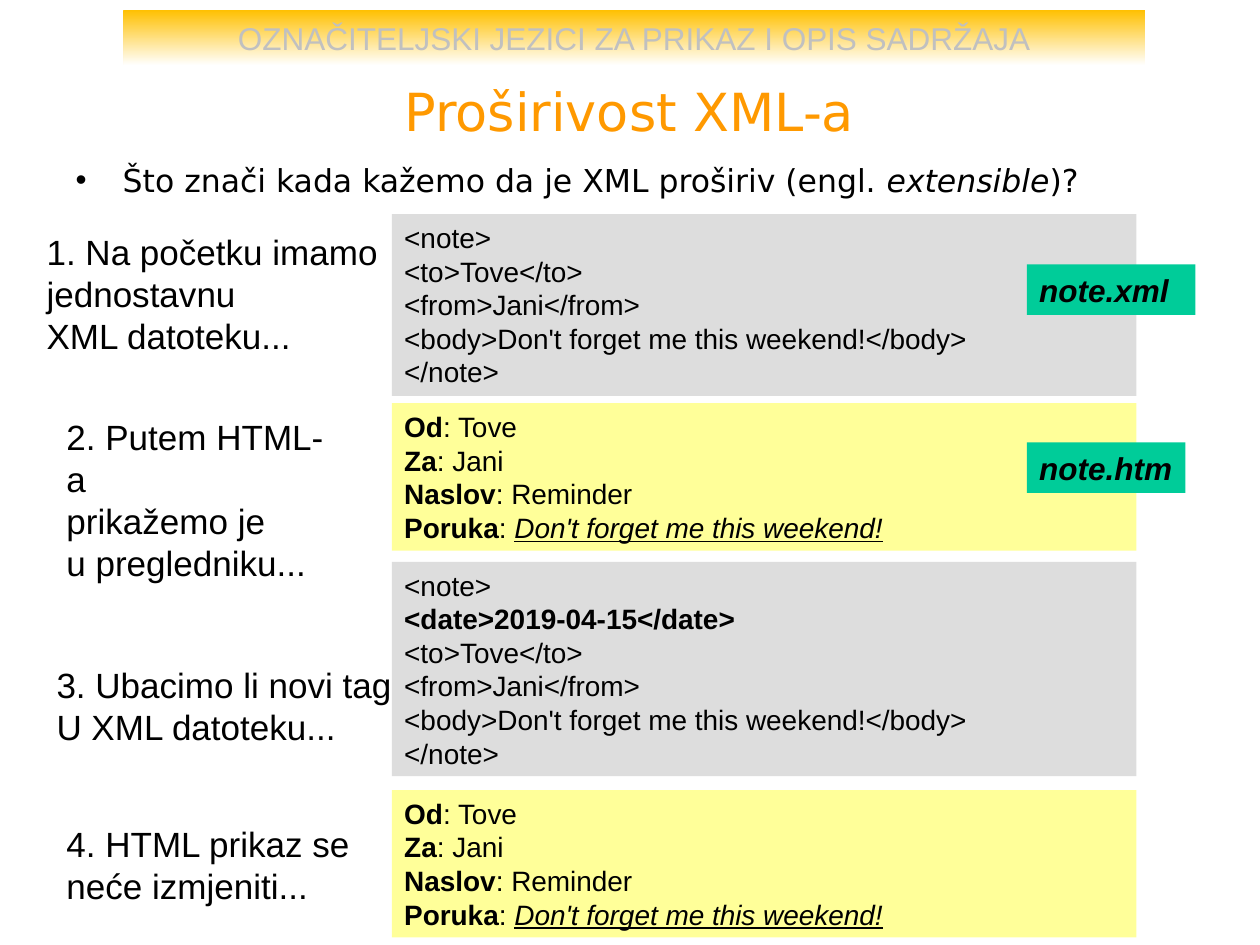
import pptx
import pptx.dml.color
import pptx.enum.shapes
import pptx.enum.text
import pptx.oxml.ns
import pptx.util
from lxml import etree

GREY, YELLOW, GREEN = "DDDDDD", "FFFF99", "00CC99"
PANEL_LEFT, PANEL_WIDTH, TAG_LEFT = 7.9, 15.01, 20.7

MESSAGE = [
    "<to>Tove</to>",
    "<from>Jani</from>",
    "<body>Don't forget me this weekend!</body>",
    "</note>",
]
SIMPLE_NOTE = ["<note>"] + MESSAGE
DATED_NOTE = ["<note>", [("<date>2019-04-15</date>", "b")]] + MESSAGE
HTML_VIEW = [
    [("Od", "b"), (": Tove", "")],
    [("Za", "b"), (": Jani", "")],
    [("Naslov", "b"), (": Reminder", "")],
    [("Poruka", "b"), (": ", ""), ("Don't forget me this weekend!", "iu")],
]


def rgb(value):
    return pptx.dml.color.RGBColor.from_string(value)


class Deck:
    font = "Arial"
    heading_font = "DejaVu Sans"
    ink = "000000"

    def __init__(self):
        self.prs = pptx.Presentation()
        self.prs.slide_width = pptx.util.Cm(25.4)
        self.prs.slide_height = pptx.util.Cm(19.05)
        self.s = self.prs.slides.add_slide(self.prs.slide_layouts[1])

    def place(self, sp, *box):
        sp.left, sp.top, sp.width, sp.height = map(pptx.util.Cm, box)

    def set_text(self, tf, lines, size, color=ink, font=font, align=None):
        tf.word_wrap = True
        tf.auto_size = pptx.enum.text.MSO_AUTO_SIZE.NONE
        for i, line in enumerate(lines):
            p = tf.paragraphs[0] if i == 0 else tf.add_paragraph()
            p.alignment = align
            for text, marks in [(line, "")] if isinstance(line, str) else line:
                r = p.add_run()
                r.text = text
                r.font.name, r.font.size = font, pptx.util.Pt(size)
                r.font.color.rgb = rgb(color)
                r.font.bold = "b" in marks
                r.font.italic = "i" in marks
                r.font.underline = "u" in marks

    def title(self, text, *box):
        sp = self.s.shapes.title
        self.place(sp, *box)
        sp.text_frame.vertical_anchor = pptx.enum.text.MSO_ANCHOR.MIDDLE
        center = pptx.enum.text.PP_ALIGN.CENTER
        self.set_text(sp.text_frame, [text], 30, "FF9900", self.heading_font, center)

    def bullets(self, lines, *box):
        sp = self.s.placeholders[1]
        self.place(sp, *box)
        self.set_text(sp.text_frame, lines, 18, font=self.heading_font)
        for p in sp.text_frame.paragraphs:
            pPr = p._p.get_or_add_pPr()
            pPr.set("marL", str(pptx.util.Cm(0.95)))
            pPr.set("indent", str(pptx.util.Cm(-0.95)))
            bullet = etree.SubElement(pPr, pptx.oxml.ns.qn("a:buChar"))
            bullet.set("char", "•")

    def rectangle(self, *box):
        kind = pptx.enum.shapes.MSO_SHAPE.RECTANGLE
        sp = self.s.shapes.add_shape(kind, *map(pptx.util.Cm, box))
        sp.shadow.inherit = False
        sp.line.fill.background()
        return sp

    def banner(self, text, *box):
        sp = self.rectangle(*box)
        sp.fill.gradient()
        sp.fill.gradient_angle = 270
        for stop, color in zip(sp.fill.gradient_stops, ("FFC000", "FFFFFF")):
            stop.color.rgb = rgb(color)
        center = pptx.enum.text.PP_ALIGN.CENTER
        self.set_text(sp.text_frame, [text], 18, "C0C0C0", align=center)

    def panel(self, lines, fill, size, *box):
        sp = self.rectangle(*box)
        sp.fill.solid()
        sp.fill.fore_color.rgb = rgb(fill)
        sp.text_frame.vertical_anchor = pptx.enum.text.MSO_ANCHOR.TOP
        self.set_text(sp.text_frame, lines, size, align=pptx.enum.text.PP_ALIGN.LEFT)

    def code(self, lines, fill, top, height):
        self.panel(lines, fill, 16, PANEL_LEFT, top, PANEL_WIDTH, height)

    def tag(self, name, top, width):
        self.panel([[(name, "bi")]], GREEN, 18, TAG_LEFT, top, width, 1.02)

    def label(self, lines, *box):
        sp = self.s.shapes.add_textbox(*map(pptx.util.Cm, box))
        self.set_text(sp.text_frame, lines, 20)


def main():
    deck = Deck()
    deck.banner("OZNAČITELJSKI JEZICI ZA PRIKAZ I OPIS SADRŽAJA", 2.49, 0.2, 20.6, 1.12)
    deck.title("Proširivost XML-a", 1.9, 1.7, 21.59, 1.04)
    question = [
        ("Što znači kada kažemo da je XML proširiv (engl. ", ""),
        ("extensible", "i"),
        (")?", ""),
    ]
    deck.bullets([question], 1.27, 3.12, 22.86, 13.59)

    deck.code(SIMPLE_NOTE, GREY, 4.32, 3.66)
    deck.label(["1. Na početku imamo", "jednostavnu", "XML datoteku..."], 0.69, 4.52, 7.37, 2.79)
    deck.code(HTML_VIEW, YELLOW, 8.13, 2.97)
    deck.code(DATED_NOTE, GREY, 11.33, 4.32)
    deck.label(["2. Putem HTML-a", "prikažemo je", "u pregledniku..."], 1.09, 8.26, 6.07, 2.79)
    deck.label(["3. Ubacimo li novi tag", "U XML datoteku..."], 0.89, 13.26, 7.26, 1.96)
    deck.label(["4. HTML prikaz se", "neće izmjeniti..."], 1.09, 16.46, 6.22, 1.96)
    deck.tag("note.htm", 8.92, 3.2)
    deck.tag("note.xml", 5.33, 3.4)
    deck.code(HTML_VIEW, YELLOW, 15.93, 2.97)

    deck.prs.save("out.pptx")


if __name__ == "__main__":
    main()
